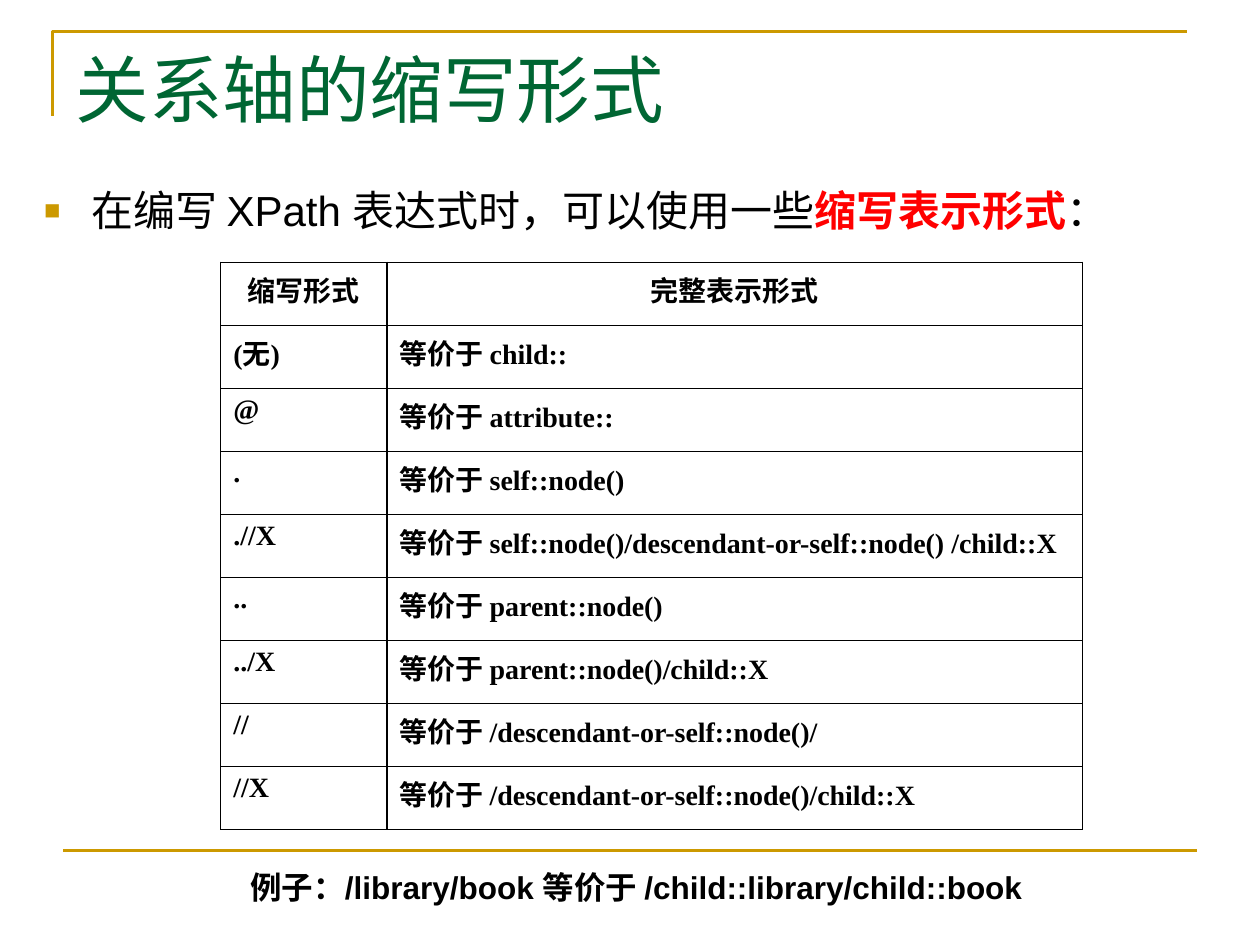
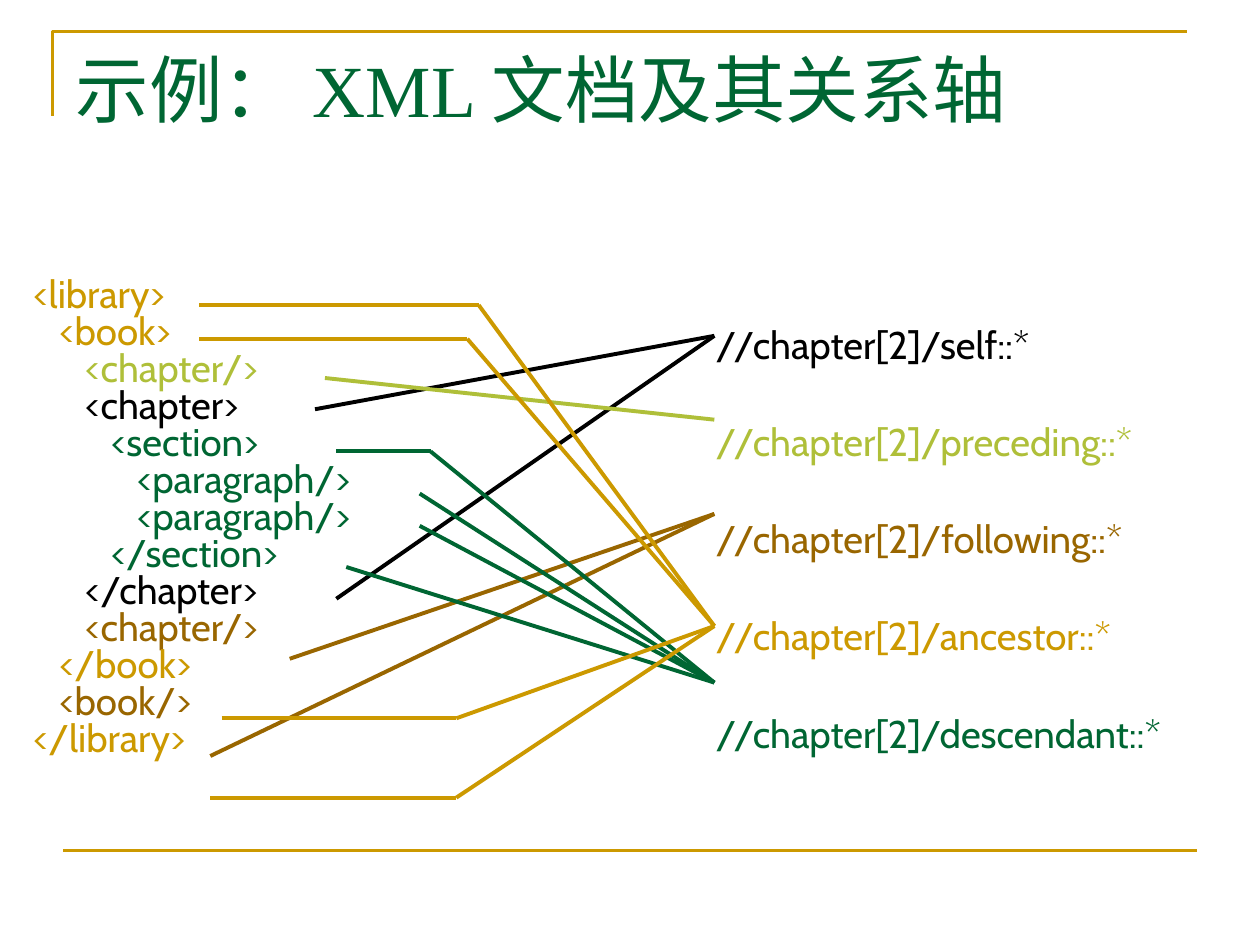
from itertools import pairwise

from lxml import etree
from pptx import Presentation
from pptx import util as u
from pptx.dml.color import RGBColor
from pptx.enum import shapes, text
from pptx.oxml import ns

GOLD = RGBColor(0xCC, 0x99, 0x00)
GREEN = RGBColor(0x00, 0x66, 0x33)
LIME = RGBColor(0xAF, 0xBF, 0x39)
BROWN = RGBColor(0x99, 0x66, 0x00)
RED = RGBColor(0xFF, 0x00, 0x00)
BLACK = RGBColor(0x00, 0x00, 0x00)

SERIF, SANS, CODE, CHINESE = "Times New Roman", "Arial", "Cabin", "Noto Sans CJK SC"

ABBREVIATIONS = [
    ("缩写形式", "完整表示形式"),
    ("(无)", "等价于 child::"),
    ("@", "等价于 attribute::"),
    (".", "等价于 self::node()"),
    (".//X", "等价于 self::node()/descendant-or-self::node() /child::X"),
    ("..", "等价于 parent::node()"),
    ("../X", "等价于 parent::node()/child::X"),
    ("//", "等价于 /descendant-or-self::node()/"),
    ("//X", "等价于 /descendant-or-self::node()/child::X"),
]

XML_LINES = [
    ("<library>", GOLD),
    ("   <book>", GOLD),
    ("      <chapter/>", LIME),
    ("      <chapter>", BLACK),
    ("         <section>", GREEN),
    ("            <paragraph/>", GREEN),
    ("            <paragraph/>", GREEN),
    ("         </section>", GREEN),
    ("      </chapter>", BLACK),
    ("      <chapter/>", BROWN),
    ("   </book>", GOLD),
    ("   <book/>", BROWN),
    ("</library>", GOLD),
]

AXES = [
    ("self", BLACK),
    ("preceding", LIME),
    ("following", BROWN),
    ("ancestor", GOLD),
    ("descendant", GREEN),
]

AXIS_X = 14.4
AXIS_LINKS = [
    (BLACK, 6.77, [[(6.35, 8.25)], [(6.78, 12.07)]]),
    (LIME, 8.46, [[(6.55, 7.62)]]),
    (BROWN, 10.36, [[(5.84, 13.28)], [(4.24, 15.24)]]),
    (GREEN, 13.76, [[(6.98, 11.43)], [(8.46, 10.6)], [(8.46, 9.95)],
                    [(6.78, 9.1), (8.68, 9.1)]]),
    (GOLD, 12.62, [[(4.02, 6.15), (9.65, 6.15)], [(4.02, 6.83), (9.42, 6.83)],
                   [(4.47, 14.48), (9.2, 14.48)], [(4.24, 16.08), (9.2, 16.08)]]),
]


class SlideBuilder:
    def __init__(self):
        self.deck = Presentation()
        self.deck.slide_width, self.deck.slide_height = u.Cm(25.4), u.Cm(19.05)
        self.page = None

    def style(self, span, font, size, colour, bold=False):
        span.font.name, span.font.size, span.font.bold = font, u.Pt(size), bold
        span.font.color.rgb = colour
        east_asian = etree.Element(ns.qn("a:ea"), typeface=CHINESE)
        span.font._element.find(ns.qn("a:latin")).addnext(east_asian)

    def start_page(self, title):
        self.page = self.deck.slides.add_slide(self.deck.slide_layouts[5])
        self.corner()
        self.line((1.27, 17.15), (24.13, 17.15), GOLD, 1.5)
        box = self.page.shapes.title
        box.left, box.top, box.width, box.height = map(u.Cm, (1.27, 0.76, 22.86, 3.18))
        frame = box.text_frame
        frame.text = title
        frame.auto_size = text.MSO_AUTO_SIZE.NONE
        frame.vertical_anchor = text.MSO_ANCHOR.TOP
        para = frame.paragraphs[0]
        para.alignment = text.PP_ALIGN.LEFT
        self.style(para.runs[0], SERIF, 42, GREEN)

    def corner(self):
        builder = self.page.shapes.build_freeform(u.Cm(1.06), u.Cm(2.33))
        builder.add_line_segments(
            [(u.Cm(1.06), u.Cm(0.64)), (u.Cm(23.92), u.Cm(0.64))], close=False)
        outline = builder.convert_to_shape()
        outline.shadow.inherit = False
        outline.fill.background()
        outline.line.color.rgb, outline.line.width = GOLD, u.Pt(1.5)

    def line(self, start, end, colour, width=2.25):
        connector = self.page.shapes.add_connector(
            shapes.MSO_CONNECTOR.STRAIGHT, *map(u.Cm, start + end))
        connector.line.color.rgb, connector.line.width = colour, u.Pt(width)
        etree.SubElement(connector._element.spPr, ns.qn("a:effectLst"))

    def text_box(self, area, wrap=True):
        frame = self.page.shapes.add_textbox(*map(u.Cm, area)).text_frame
        frame.word_wrap = wrap
        return frame

    def text_lines(self, area, lines, font, size, spacing=1.0, before=0, bold=False, wrap=True):
        frame = self.text_box(area, wrap)
        frame.text = "\n".join(content for content, colour in lines)
        for index, (para, (content, colour)) in enumerate(zip(frame.paragraphs, lines)):
            para.line_spacing = spacing
            para.space_before = u.Pt(before if index else 0)
            self.style(para.runs[0], font, size, colour, bold)
        return frame

    def bullet(self, area, spans, size):
        para = self.text_box(area).paragraphs[0]
        properties = para._p.get_or_add_pPr()
        indent = u.Cm(0.95)
        properties.set("marL", str(indent))
        properties.set("indent", str(-indent))
        colour = etree.SubElement(properties, ns.qn("a:buClr"))
        etree.SubElement(colour, ns.qn("a:srgbClr"), val=str(GOLD))
        etree.SubElement(properties, ns.qn("a:buSzPct"), val="65000")
        etree.SubElement(properties, ns.qn("a:buFont"), typeface=SANS)
        etree.SubElement(properties, ns.qn("a:buChar"), char="■")
        for content, font, colour, bold in spans:
            span = para.add_run()
            span.text = content
            self.style(span, font, size, colour, bold)

    def borders(self, cell, widths):
        properties = cell._tc.get_or_add_tcPr()
        for side, width in widths.items():
            edge = etree.SubElement(properties, ns.qn(f"a:ln{side}"), w=str(u.Pt(width)))
            fill = etree.SubElement(edge, ns.qn("a:solidFill"))
            etree.SubElement(fill, ns.qn("a:srgbClr"), val=str(BLACK))

    def table(self, left, top, widths, row_height, rows):
        table = self.page.shapes.add_table(
            len(rows), len(widths), u.Cm(left), u.Cm(top),
            u.Cm(sum(widths)), u.Cm(row_height * len(rows))).table
        table.first_row = table.horz_banding = False
        for column, width in zip(table.columns, widths):
            column.width = u.Cm(width)
        last = len(rows) - 1
        for r, row in enumerate(rows):
            table.rows[r].height = u.Cm(row_height)
            for c, content in enumerate(row):
                cell = table.cell(r, c)
                self.borders(cell, {"L": 0.96, "R": 0.96,
                                    "T": 0.45 if r else 0.96,
                                    "B": 0.45 if r < last else 0.96})
                cell.fill.background()
                cell.text = content
                para = cell.text_frame.paragraphs[0]
                para.alignment = text.PP_ALIGN.LEFT if r else text.PP_ALIGN.CENTER
                self.style(para.runs[0], SERIF, 16, BLACK, True)


def abbreviation_page(builder):
    builder.start_page("关系轴的缩写形式")
    builder.bullet((0.64, 3.6, 24.13, 1.48), [
        ("在编写 XPath 表达式时，可以使用一些", SANS, BLACK, False),
        ("缩写表示形式", CHINESE, RED, True),
        ("：", SANS, BLACK, False),
    ], 24)
    builder.table(4.45, 5.29, (3.35, 14.02), 1.27, ABBREVIATIONS)
    example = "例子：/library/book 等价于 /child::library/child::book"
    frame = builder.text_lines((4.8, 17.36, 16.68, 1.02), [(example, BLACK)],
                               SANS, 18, bold=True, wrap=False)
    frame.vertical_anchor = text.MSO_ANCHOR.MIDDLE


def axes_page(builder):
    builder.start_page("示例： XML 文档及其关系轴")
    builder.text_lines((0.42, 5.5, 8.89, 10.58), XML_LINES, CODE, 22, spacing=0.8)
    labels = [(f"//chapter[2]/{axis}::*", colour) for axis, colour in AXES]
    builder.text_lines((14.18, 5.5, 10.58, 10.58), labels, CODE, 22, spacing=1.9, before=5.5)
    for colour, axis_y, routes in AXIS_LINKS:
        for route in routes:
            for start, end in pairwise(route + [(AXIS_X, axis_y)]):
                builder.line(start, end, colour)


def main():
    builder = SlideBuilder()
    abbreviation_page(builder)
    axes_page(builder)
    builder.deck.save("out.pptx")


if __name__ == "__main__":
    main()
